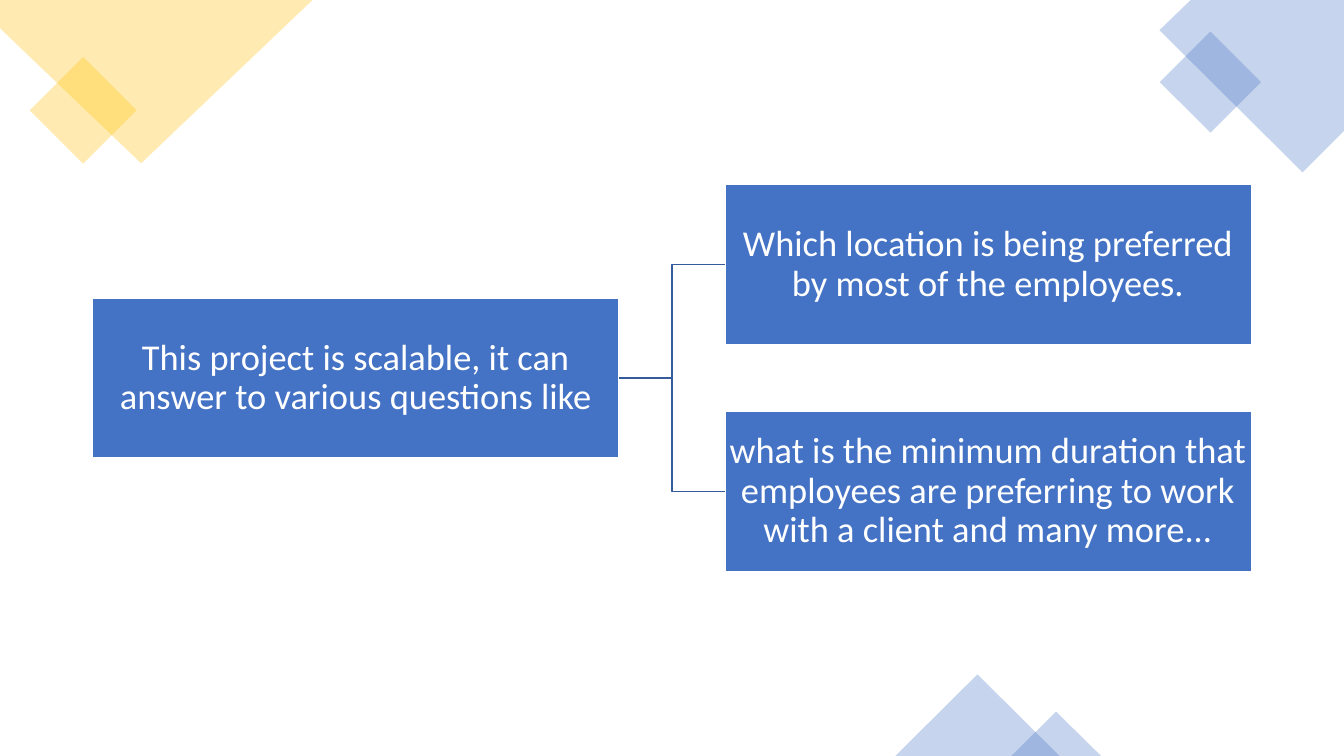
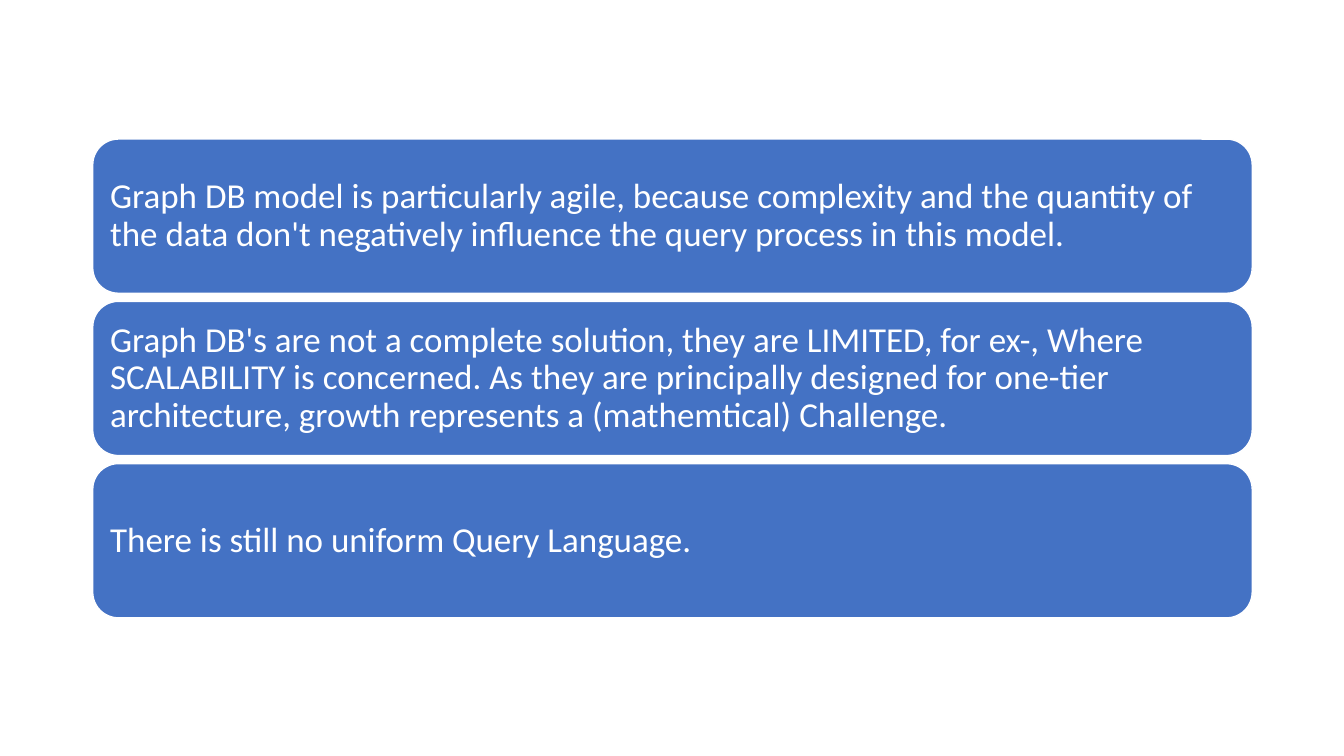
from pptx import Presentation
from pptx.dml.color import RGBColor
from pptx.enum.shapes import MSO_CONNECTOR, MSO_SHAPE
from pptx.enum.text import MSO_ANCHOR, PP_ALIGN
from pptx.oxml.ns import qn
from pptx.util import Inches, Pt
from lxml import etree

RECTANGLE = MSO_SHAPE.RECTANGLE
ROUNDED = MSO_SHAPE.ROUNDED_RECTANGLE
TRIANGLE = MSO_SHAPE.ISOSCELES_TRIANGLE
ELBOW = MSO_CONNECTOR.ELBOW
MIDDLE = MSO_ANCHOR.MIDDLE
LEFT, CENTER = PP_ALIGN.LEFT, PP_ALIGN.CENTER

BLUE = RGBColor(0x44, 0x72, 0xC4)
DARK_BLUE = RGBColor(0x36, 0x5B, 0x9D)
GOLD = RGBColor(0xFF, 0xC0, 0x00)
WHITE = RGBColor(0xFF, 0xFF, 0xFF)

FONT = "Calibri"
MARGIN = 0.92
LEFT_SITE, RIGHT_SITE = 1, 3


def make_tinted(shape, color):
    """Fill the shape with the color at 30% opacity, without outline or shadow."""
    shape.shadow.inherit = False
    shape.line.fill.background()
    shape.fill.solid()
    shape.fill.fore_color.rgb = color
    color_element = shape.fill._xPr.find(qn("a:solidFill"))[0]
    etree.SubElement(color_element, qn("a:alpha")).set("val", "30000")


def add_text_box(slide, kind, bounds, text, size, alignment, inset):
    """Add a blue box with a white outline and vertically centered text."""
    shape = slide.shapes.add_shape(kind, *map(Inches, bounds))
    shape.shadow.inherit = False
    shape.fill.solid()
    shape.fill.fore_color.rgb = BLUE
    shape.line.color.rgb = WHITE
    shape.line.width = Pt(1)

    frame = shape.text_frame
    frame.word_wrap = True
    frame.vertical_anchor = MIDDLE
    for side in ("left", "top", "right", "bottom"):
        setattr(frame, f"margin_{side}", Inches(inset))

    paragraph = frame.paragraphs[0]
    paragraph.text = text
    paragraph.alignment = alignment
    paragraph.line_spacing = 0.9
    paragraph.font.name = FONT
    paragraph.font.size = Pt(size)
    paragraph.font.color.rgb = WHITE
    return shape


presentation = Presentation()
presentation.slide_width = Inches(13.33)
presentation.slide_height = Inches(7.5)
blank_layout = presentation.slide_layouts[6]

# Slide 1: corner decorations
slide = presentation.slides.add_slide(blank_layout)
corner_outlines = [
    (GOLD, [(0, 0), (3.1, 0), (1.4, 1.62), (0, 0.28)]),
    (BLUE, [(11.81, 0), (13.33, 0), (13.33, 1.3), (12.92, 1.71), (11.5, 0.3)]),
]
for color, points in corner_outlines:
    start, *others = [(Inches(x), Inches(y)) for x, y in points]
    builder = slide.shapes.build_freeform(*start)
    builder.add_line_segments(others, close=True)
    make_tinted(builder.convert_to_shape(), color)

small_decorations = [
    (RECTANGLE, (0.45, 0.72, 0.75, 0.75), 45, GOLD),
    (RECTANGLE, (11.65, 0.46, 0.71, 0.71), 45, BLUE),
    (TRIANGLE, (8.88, 6.69, 1.63, 0.81), 0, BLUE),
    (TRIANGLE, (10.03, 7.06, 0.89, 0.44), 0, BLUE),
]
for kind, bounds, rotation, color in small_decorations:
    decoration = slide.shapes.add_shape(kind, *map(Inches, bounds))
    decoration.rotation = rotation
    make_tinted(decoration, color)

# Slide 1: statement branching into questions
box_width, box_height = 5.22, 1.59
question_left = 7.19
question_top, question_pitch = 1.83, 2.25
questions = [
    "Which location is being preferred by most of the employees.",
    "what is the minimum duration that employees are preferring to work "
    "with a client and many more...",
]
statement_top = question_top + question_pitch * (len(questions) - 1) / 2
statement_box = add_text_box(
    slide, RECTANGLE, (MARGIN, statement_top, box_width, box_height),
    "This project is scalable, it can answer to various questions like",
    26, CENTER, 0.02)

for index, question in enumerate(questions):
    top = question_top + index * question_pitch
    question_box = add_text_box(
        slide, RECTANGLE, (question_left, top, box_width, box_height),
        question, 26, CENTER, 0.02)
    connector = slide.shapes.add_connector(ELBOW, 0, 0, 0, 0)
    connector.begin_connect(statement_box, RIGHT_SITE)
    connector.end_connect(question_box, LEFT_SITE)
    connector.line.color.rgb = DARK_BLUE
    connector.line.width = Pt(1)
    etree.SubElement(connector._element.spPr, qn("a:effectLst"))

# Slide 2: stacked statements
slide = presentation.slides.add_slide(blank_layout)
stack_top, stack_pitch = 1.38, 1.61
limitations = [
    "Graph DB model is particularly agile, because complexity and the quantity "
    "of the data don't negatively influence the query process in this model.",
    "Graph DB's are not a complete solution, they are LIMITED, for ex-, Where "
    "SCALABILITY is concerned. As they are principally designed for one-tier "
    "architecture, growth represents a (mathemtical) Challenge.",
    "There is still no uniform Query Language.",
]
for index, limitation in enumerate(limitations):
    top = stack_top + index * stack_pitch
    add_text_box(slide, ROUNDED, (MARGIN, top, 11.5, 1.53),
                 limitation, 25, LEFT, 0.1)

presentation.save("out.pptx")
